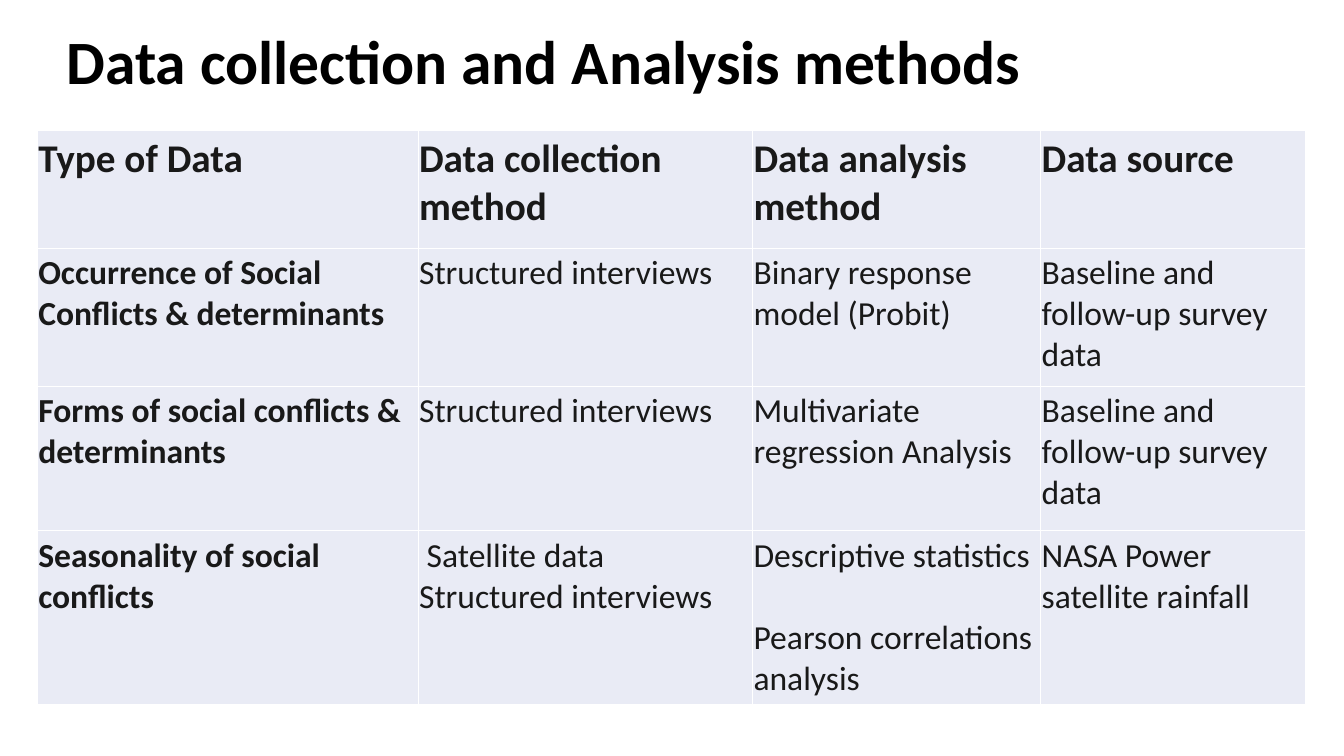
from pptx import Presentation
from pptx.dml.color import RGBColor
from pptx.enum import text
from pptx.oxml import parse_xml
from pptx.oxml import ns
from pptx.util import Inches, Pt

TITLE = "Data collection and Analysis methods"
ROWS = [
    [["Type of Data"], ["Data collection method"], ["Data analysis method"], ["Data source"]],
    [["Occurrence of Social Conflicts & determinants"], ["Structured interviews"],
     ["Binary response model (Probit)"], ["Baseline and follow-up survey data"]],
    [["Forms of social conflicts & determinants"], ["Structured interviews"],
     ["Multivariate regression Analysis"], ["Baseline and follow-up survey data"]],
    [["Seasonality of social conflicts"], [" Satellite data", "Structured interviews"],
     ["Descriptive statistics", "Pearson correlations analysis"],
     ["NASA Power satellite rainfall"]],
]
COLUMN_WIDTHS = [3.78, 3.32, 2.86, 2.63]
ROW_HEIGHTS = [1.17, 1.37, 1.43, 1.63]
GAP_BEFORE = {"Pearson correlations analysis": Pt(29.3)}

FONT = "Calibri"
BLACK = RGBColor(0x00, 0x00, 0x00)
INK = RGBColor(0x19, 0x19, 0x19)
CELL_FILL = RGBColor(0xE9, 0xEB, 0xF5)
BORDER = RGBColor(0xFF, 0xFF, 0xFF)


def add_run(paragraph, words, size, color, bold):
    """Add one formatted run to a paragraph."""
    run = paragraph.add_run()
    run.text = words
    run.font.name = FONT
    run.font.size = Pt(size)
    run.font.bold = bold
    run.font.color.rgb = color


def set_borders(cell):
    """Draw a thin line on all four sides of a cell."""
    properties = cell._tc.get_or_add_tcPr()
    for index, side in enumerate(("lnL", "lnR", "lnT", "lnB")):
        properties.insert(index, parse_xml(
            f'<a:{side} {ns.nsdecls("a")} w="{Pt(0.45)}"><a:solidFill>'
            f'<a:srgbClr val="{BORDER}"/></a:solidFill></a:{side}>'))


def fill_cell(cell, lines, size, bold):
    """Fill a table cell with its lines of text."""
    cell.margin_left = cell.margin_right = Inches(0.01)
    cell.margin_top = cell.margin_bottom = Inches(0.05)
    cell.fill.solid()
    cell.fill.fore_color.rgb = CELL_FILL
    set_borders(cell)
    for index, line in enumerate(lines):
        frame = cell.text_frame
        paragraph = frame.add_paragraph() if index else frame.paragraphs[0]
        if line in GAP_BEFORE:
            paragraph.space_before = GAP_BEFORE[line]
        add_run(paragraph, line, size, INK, bold)


def add_title(slide):
    """Place and format the slide title."""
    title = slide.shapes.title
    title.left, title.top = Inches(0.56), Inches(0.17)
    title.width, title.height = Inches(11.8), Inches(0.95)
    frame = title.text_frame
    frame.auto_size = text.MSO_AUTO_SIZE.NONE
    frame.vertical_anchor = text.MSO_ANCHOR.MIDDLE
    paragraph = frame.paragraphs[0]
    paragraph.alignment = text.PP_ALIGN.LEFT
    paragraph.line_spacing = 0.9
    add_run(paragraph, TITLE, 44, BLACK, True)


def add_methods_table(slide):
    """Add the table of data types, methods and sources."""
    table = slide.shapes.add_table(
        len(ROWS), len(COLUMN_WIDTHS), Inches(0.37), Inches(1.29),
        Inches(sum(COLUMN_WIDTHS)), Inches(sum(ROW_HEIGHTS))).table
    table.horz_banding = False
    for column, width in zip(table.columns, COLUMN_WIDTHS):
        column.width = Inches(width)
    for row, height in zip(table.rows, ROW_HEIGHTS):
        row.height = Inches(height)
    for r, cells in enumerate(ROWS):
        for c, lines in enumerate(cells):
            fill_cell(table.cell(r, c), lines, 24 if r else 28, r == 0 or c == 0)


def main():
    """Build the slide and save it."""
    presentation = Presentation()
    presentation.slide_width, presentation.slide_height = Inches(13.34), Inches(7.5)
    slide = presentation.slides.add_slide(presentation.slide_layouts[5])
    add_methods_table(slide)
    add_title(slide)
    presentation.save("out.pptx")


if __name__ == "__main__":
    main()
